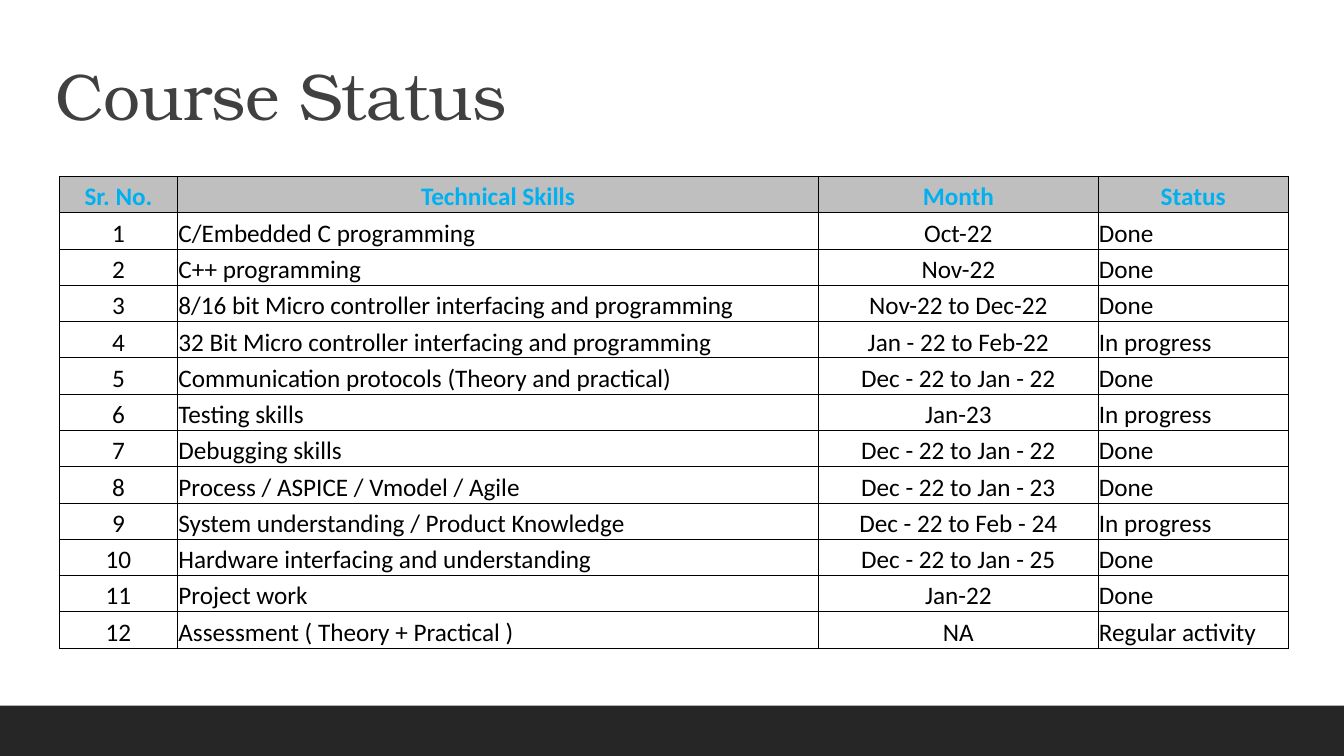
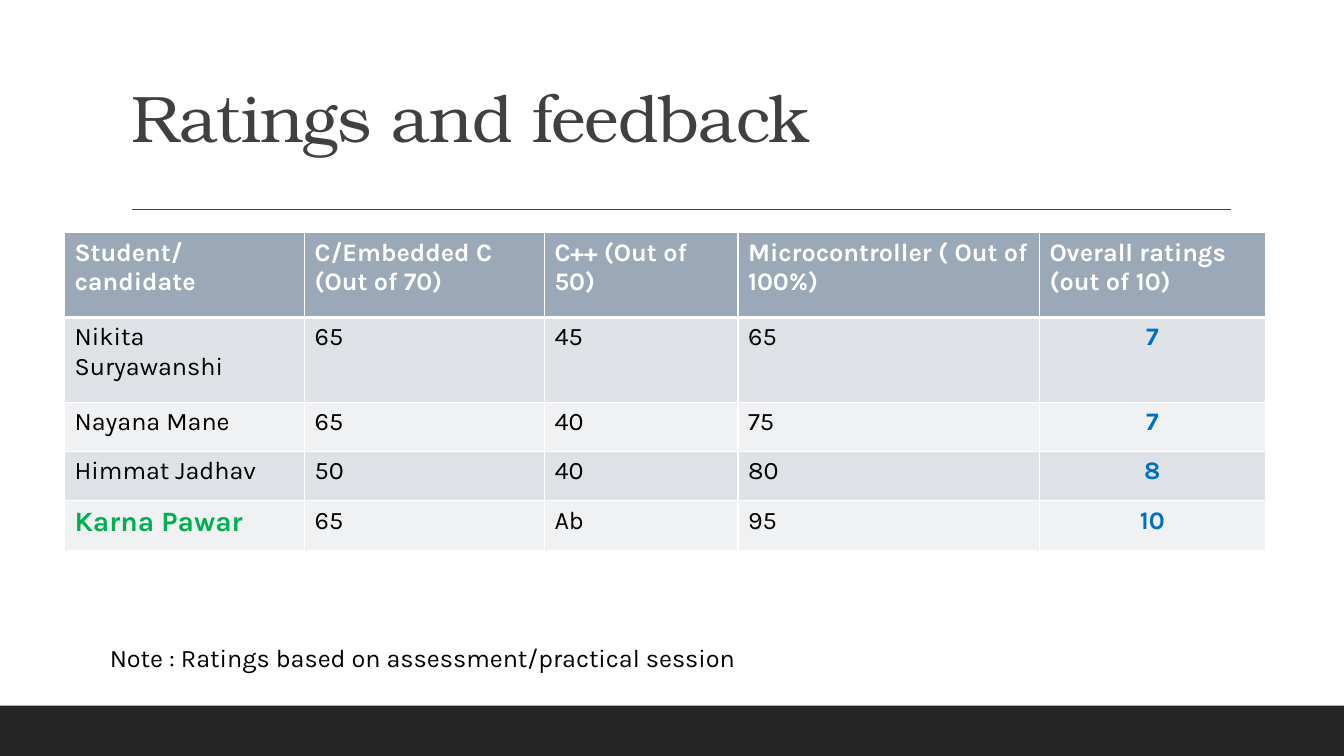
"""Build the course status and ratings slides."""
from lxml.etree import SubElement
from pptx import Presentation
from pptx.dml.color import RGBColor
from pptx.enum.shapes import MSO_CONNECTOR, MSO_SHAPE
from pptx.enum.text import MSO_ANCHOR, MSO_AUTO_SIZE, PP_ALIGN
from pptx.oxml.ns import qn
from pptx.util import Inches, Pt

WHITE, BLACK, DARK, BAND = "FFFFFF", "000000", "404040", "262626"
STATUS_HEAD, STATUS_HEAD_TEXT = "BFBFBF", "00B0F0"
RATING_HEAD, RATING_ROWS = "9BA8B7", ("EFF1F3", "DEE1E6")
RATING_BLUE, TOP_GREEN = "0070C0", "00B050"
TITLE_FONT, STATUS_FONT, RATING_FONT = "TeX Gyre Bonum", "Calibri", "Karla"


def color(hex_code):
    return RGBColor.from_string(hex_code)


def add_grid(slide, left, top, widths, heights, rows, font_name, border, border_width, head_rule):
    frame = slide.shapes.add_table(
        len(rows), len(widths), Inches(left), Inches(top),
        Inches(sum(widths)), Inches(sum(heights)))
    grid = frame.table
    grid.horz_banding = False
    for column, width in zip(grid.columns, widths):
        column.width = Inches(width)
    for row, height, texts in zip(grid.rows, heights, rows):
        row.height = Inches(height)
        for cell, text in zip(row.cells, texts):
            cell.text_frame.text = text
            font = cell.text_frame.paragraphs[0].runs[0].font
            font.name, font.size, font.bold = font_name, Pt(18), False
            font.color.rgb = color(BLACK)
            cell.fill.background()
    for index, cell_xml in enumerate(frame.element.iter(qn("a:tc"))):
        row_index = index // len(widths)
        properties = cell_xml.get_or_add_tcPr()
        for position, side in enumerate(("lnL", "lnR", "lnT", "lnB")):
            under_head = (row_index, side) in ((0, "lnB"), (1, "lnT"))
            points = head_rule if under_head else border_width
            edge = SubElement(properties, qn(f"a:{side}"), w=str(Pt(points)))
            SubElement(SubElement(edge, qn("a:solidFill")), qn("a:srgbClr"), val=border)
            properties.insert(position, edge)
    return grid


prs = Presentation()
prs.slide_width, prs.slide_height = Inches(13.33), Inches(7.5)
layout = prs.slide_layouts[5]

titles = [
    ("Course Status", 0.45, 0.31, 11.75, 1.08),
    ("Ratings and feedback", 1.2, 0.78, 11, 0.83),
]
slides = []
for text, *place in titles:
    slide = prs.slides.add_slide(layout)
    title = slide.shapes.title
    title.left, title.top, title.width, title.height = map(Inches, place)
    title.text_frame.text = text
    title.text_frame.vertical_anchor = MSO_ANCHOR.BOTTOM
    title.text_frame.auto_size = MSO_AUTO_SIZE.NONE
    heading = title.text_frame.paragraphs[0]
    heading.alignment, heading.line_spacing = PP_ALIGN.LEFT, 0.9
    font = heading.runs[0].font
    font.name, font.size = TITLE_FONT, Pt(47)
    font.color.rgb = color(DARK)
    for run_properties in title.element.iter(qn("a:rPr")):
        run_properties.set("spc", "-50")
    slides.append(slide)
status_slide, ratings_slide = slides

band = status_slide.shapes.add_shape(
    MSO_SHAPE.RECTANGLE, 0, Inches(7), prs.slide_width, Inches(0.5))
band.shadow.inherit = False
band.fill.solid()
band.fill.fore_color.rgb = color(BAND)
band.line.fill.background()
rule = status_slide.shapes.add_connector(
    MSO_CONNECTOR.STRAIGHT, Inches(1.31), Inches(2.08), Inches(12.21), Inches(2.08))
rule.line.color.rgb = color(DARK)
rule.line.width = Pt(1)
SubElement(rule.element.spPr, qn("a:effectLst"))
for shared in (band, rule):
    layout.shapes.element.append(shared.element)

courses = [
    ("C/Embedded C programming", "Oct-22", "Done"),
    ("C++ programming", "Nov-22", "Done"),
    ("8/16 bit Micro controller interfacing and programming", "Nov-22 to Dec-22", "Done"),
    ("32 Bit Micro controller interfacing and programming", "Jan - 22 to Feb-22", "In progress"),
    ("Communication protocols (Theory and practical)", "Dec - 22 to Jan - 22", "Done"),
    ("Testing skills", "Jan-23", "In progress"),
    ("Debugging skills", "Dec - 22 to Jan - 22", "Done"),
    ("Process / ASPICE / Vmodel / Agile", "Dec - 22 to Jan - 23", "Done"),
    ("System understanding / Product Knowledge", "Dec - 22 to Feb - 24", "In progress"),
    ("Hardware interfacing and understanding", "Dec - 22 to Jan - 25", "Done"),
    ("Project work", "Jan-22", "Done"),
    ("Assessment ( Theory + Practical )", "NA", "Regular activity"),
]
status_rows = [("Sr. No.", "Technical Skills", "Month", "Status")]
status_rows += [(str(number), *course) for number, course in enumerate(courses, 1)]
status_grid = add_grid(
    status_slide, 0.59, 1.75, [1.17, 6.36, 2.77, 1.89], [0.36] * len(status_rows),
    status_rows, STATUS_FONT, BLACK, 0.5, 0.5)
for row_index, row in enumerate(status_grid.rows):
    for column_index, cell in enumerate(row.cells):
        cell.margin_left = cell.margin_right = cell.margin_top = Inches(0.01)
        cell.margin_bottom = 0
        cell.vertical_anchor = MSO_ANCHOR.BOTTOM
        paragraph = cell.text_frame.paragraphs[0]
        centered = row_index == 0 or column_index in (0, 2)
        paragraph.alignment = PP_ALIGN.CENTER if centered else PP_ALIGN.LEFT
        if row_index == 0:
            cell.fill.solid()
            cell.fill.fore_color.rgb = color(STATUS_HEAD)
            paragraph.runs[0].font.bold = True
            paragraph.runs[0].font.color.rgb = color(STATUS_HEAD_TEXT)

rating_rows = [
    ("Student/candidate", "C/Embedded C (Out of 70)", "C++ (Out of 50)",
     "Microcontroller ( Out of 100%)", "Overall ratings (out of 10)"),
    ("Nikita Suryawanshi", "65", "45", "65", "7"),
    ("Nayana Mane", "65", "40", "75", "7"),
    ("Himmat Jadhav", "50", "40", "80", "8"),
    ("Karna Pawar", "65", "Ab", "95", "10"),
]
ratings_grid = add_grid(
    ratings_slide, 0.64, 2.31, [2.38, 2.38, 1.92, 2.99, 2.24],
    [0.84, 0.84, 0.49, 0.49, 0.49], rating_rows, RATING_FONT, WHITE, 1, 3)
for row_index, row in enumerate(ratings_grid.rows):
    for column_index, cell in enumerate(row.cells):
        cell.fill.solid()
        cell.fill.fore_color.rgb = color(RATING_ROWS[row_index % 2] if row_index else RATING_HEAD)
        paragraph = cell.text_frame.paragraphs[0]
        font = paragraph.runs[0].font
        if row_index == 0:
            font.bold = True
            font.color.rgb = color(WHITE)
        elif column_index == 4:
            paragraph.alignment = PP_ALIGN.CENTER
            font.bold = True
            font.color.rgb = color(RATING_BLUE)

top_student = ratings_grid.cell(4, 0).text_frame.paragraphs[0].runs[0].font
top_student.size, top_student.bold = Pt(20), True
top_student.color.rgb = color(TOP_GREEN)

note = ratings_slide.shapes.add_textbox(Inches(0.99), Inches(6.32), Inches(11.35), Inches(0.4))
note.text_frame.word_wrap = True
note.text_frame.auto_size = MSO_AUTO_SIZE.SHAPE_TO_FIT_TEXT
note.text_frame.text = "Note : Ratings based on assessment/practical session"
note_font = note.text_frame.paragraphs[0].runs[0].font
note_font.name, note_font.size = RATING_FONT, Pt(18)
note_font.color.rgb = color(BLACK)

prs.save("out.pptx")
